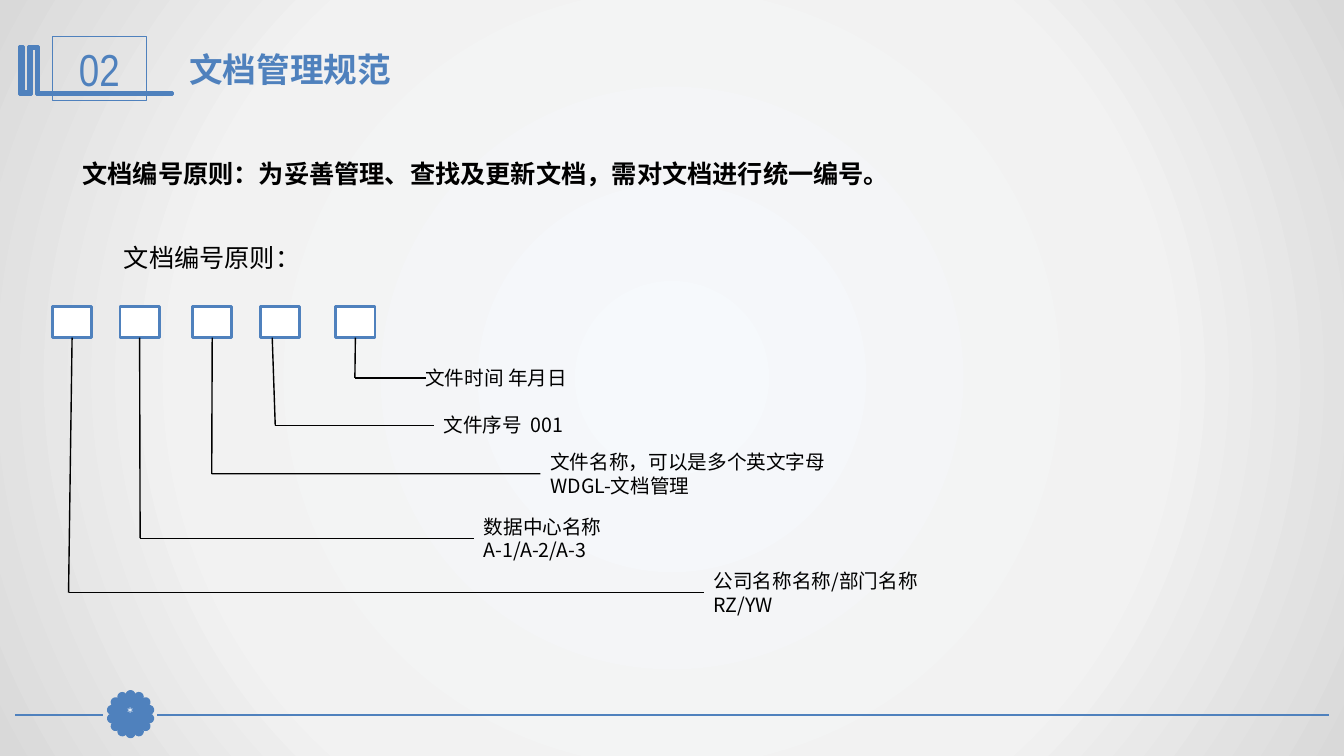
import math

import pptx
import pptx.dml.color
import pptx.enum.shapes
import pptx.enum.text
import pptx.oxml
import pptx.oxml.ns
import pptx.util
from pptx.util import Inches

RGBColor = pptx.dml.color.RGBColor
MSO_SHAPE = pptx.enum.shapes.MSO_SHAPE
ALIGN = pptx.enum.text.PP_ALIGN
ANCHOR = pptx.enum.text.MSO_ANCHOR
AUTO_SIZE = pptx.enum.text.MSO_AUTO_SIZE

BLUE = RGBColor(0x4F, 0x81, 0xBD)
BLACK = RGBColor(0, 0, 0)
WHITE = RGBColor(0xFF, 0xFF, 0xFF)
BG_STOPS = [(0, RGBColor(0xF6, 0xF9, 0xFC)), (63, RGBColor(0xF2, 0xF2, 0xF2)),
            (100, RGBColor(0xD9, 0xD9, 0xD9))]
CJK = "Noto Sans CJK SC"

BOX_W, BOX_H, BOX_Y = 0.39, 0.31, 3.04
# Box left, leg top (None: middle of the box), elbow x, elbow y,
# line end (None: side of the label), label left, label lines
CODE_PARTS = [
    (0.52, None, 0.68, 5.88, None, 6.98, ["公司名称名称/部门名称", "RZ/YW"]),
    (1.19, None, 1.39, 5.34, None, 4.70, ["数据中心名称", "A-1/A-2/A-3"]),
    (1.91, None, 2.10, 4.70, None, 5.36, ["文件名称，可以是多个英文字母", "WDGL-文档管理"]),
    (2.58, 2.70, 2.73, 4.22, None, 4.30, ["文件序号  001"]),
    (3.33, None, 3.52, 3.75, 4.23, 4.12, ["文件时间 年月日"]),
]
BOOKS = [(0.37, 0.46), (0.38, 0.46), (0.38, 0.92), (1.71, 0.92), (1.71, 0.94),
         (0.36, 0.94), (0.36, 0.48), (0.31, 0.48), (0.31, 0.94), (0.19, 0.94),
         (0.19, 0.46), (0.23, 0.46), (0.23, 0.91), (0.28, 0.91), (0.28, 0.46)]


def set_background(s):
    s.background.fill.solid()
    stops = "".join(f'<a:gs pos="{pos * 1000}"><a:srgbClr val="{color}"/></a:gs>'
                    for pos, color in BG_STOPS)
    grad = pptx.oxml.parse_xml(
        f'<a:gradFill {pptx.oxml.ns.nsdecls("a")} rotWithShape="1"><a:gsLst>{stops}</a:gsLst>'
        '<a:path path="circle"><a:fillToRect l="50000" t="50000" r="50000" b="50000"/>'
        '</a:path></a:gradFill>')
    solid = s.background._cSld.find(".//" + pptx.oxml.ns.qn("a:solidFill"))
    solid.getparent().replace(solid, grad)


def paint(sp, fill, width):
    sp.shadow.inherit = False
    if fill is None:
        sp.fill.background()
    else:
        sp.fill.solid()
        sp.fill.fore_color.rgb = fill
    sp.line.color.rgb = BLUE
    sp.line.width = pptx.util.Pt(width)


def add_shape(s, kind, x, y, w, h, fill, width):
    sp = s.shapes.add_shape(kind, Inches(x), Inches(y), Inches(w), Inches(h))
    paint(sp, fill, width)
    return sp


def add_line(s, x1, y1, x2, y2, color, width):
    line = s.shapes.add_connector(pptx.enum.shapes.MSO_CONNECTOR.STRAIGHT,
                                  Inches(x1), Inches(y1), Inches(x2), Inches(y2))
    line.line.color.rgb = color
    line.line.width = pptx.util.Pt(width)
    line._element.spPr.append(pptx.oxml.parse_xml(
        f'<a:effectLst {pptx.oxml.ns.nsdecls("a")}/>'))
    return line


def set_text(sp, lines, size, font, color, bold=False, align=ALIGN.LEFT):
    tf = sp.text_frame
    tf.text = "\n".join(lines)
    for p in tf.paragraphs:
        p.alignment = align
        for r in p.runs:
            r.font.size = pptx.util.Pt(size)
            r.font.name = font
            r.font.bold = bold
            r.font.color.rgb = color
            r.font._element.find(pptx.oxml.ns.qn("a:latin")).addnext(pptx.oxml.parse_xml(
                f'<a:ea {pptx.oxml.ns.nsdecls("a")} typeface="{CJK}"/>'))


def add_text(s, x, y, w, h, lines, size, font, color, bold=False, wrap=True):
    sp = s.shapes.add_textbox(Inches(x), Inches(y), Inches(w), Inches(h))
    sp.text_frame.word_wrap = wrap
    sp.text_frame.auto_size = AUTO_SIZE.SHAPE_TO_FIT_TEXT
    set_text(sp, lines, size, font, color, bold)
    return sp


def add_footer(s):
    # Rule on both sides of the flower
    add_line(s, 13.18, 7.09, 1.56, 7.09, BLUE, 1.25)
    add_line(s, 1.02, 7.09, 0.15, 7.09, BLUE, 1.25)
    # Ring of petals
    petals, size, radius = 14, 0.07, 0.19
    for i in range(petals):
        angle = 2 * math.pi * i / petals
        x = 1.295 + radius * math.sin(angle) - size / 2
        y = 7.085 - radius * math.cos(angle) - size / 2
        petal = add_shape(s, MSO_SHAPE.OVAL, x, y, size, size, BLUE, 2)
        petal.rotation = math.degrees(angle)
    # Heart of the flower
    heart = add_shape(s, MSO_SHAPE.RECTANGLE, 1.13, 6.93, 0.32, 0.31, BLUE, 0.75)
    tf = heart.text_frame
    tf.margin_left = tf.margin_right = tf.margin_top = tf.margin_bottom = 0
    tf.vertical_anchor = ANCHOR.MIDDLE
    set_text(heart, ["*"], 12, "Lato", WHITE, align=ALIGN.CENTER)


def add_header(s):
    # Book outline running into an underline
    points = [(Inches(x), Inches(y)) for x, y in BOOKS]
    fb = s.shapes.build_freeform(*points[0])
    fb.add_line_segments(points[1:], close=True)
    paint(fb.convert_to_shape(), BLUE, 2)
    # Section number and title
    number = add_shape(s, MSO_SHAPE.RECTANGLE, 0.52, 0.36, 0.93, 0.64, None, 0.75)
    number.text_frame.vertical_anchor = ANCHOR.MIDDLE
    number.text_frame.auto_size = AUTO_SIZE.SHAPE_TO_FIT_TEXT
    set_text(number, ["02"], 32, "Arial Narrow", BLUE, align=ALIGN.CENTER)
    add_text(s, 1.78, 0.44, 2.22, 0.5, ["文档管理规范"], 24, "Lato", BLUE, bold=True)


def add_code_part(s, box_x, leg_x, elbow_x, elbow_y, end_x, label_x, lines):
    box = add_shape(s, MSO_SHAPE.RECTANGLE, box_x, BOX_Y, BOX_W, BOX_H, WHITE, 2)
    label_h = 0.57 if len(lines) == 2 else 0.34
    label = add_text(s, label_x, elbow_y - label_h / 2, 5.56, label_h, lines, 14, CJK, BLACK)
    leg = add_line(s, leg_x or box_x + BOX_W / 2, BOX_Y + BOX_H, elbow_x, elbow_y, BLACK, 1)
    if leg_x is None:
        leg.begin_connect(box, 2)
    branch = add_line(s, elbow_x, elbow_y, end_x or label_x, elbow_y, BLACK, 1)
    if end_x is None:
        branch.end_connect(label, 1)


def main():
    prs = pptx.Presentation()
    prs.slide_width, prs.slide_height = Inches(13.33), Inches(7.5)
    s = prs.slides.add_slide(prs.slide_layouts[6])
    set_background(s)
    add_footer(s)
    add_header(s)
    # Principle and heading
    add_text(s, 0.72, 1.52, 8.2, 0.4,
             ["文档编号原则：为妥善管理、查找及更新文档，需对文档进行统一编号。"],
             18, "Lato", BLACK, bold=True, wrap=False)
    add_text(s, 1.13, 2.35, 1.95, 0.4, ["文档编号原则："], 18, "Lato", BLACK, wrap=False)
    # Parts of the document number
    for part in CODE_PARTS:
        add_code_part(s, *part)
    prs.save("out.pptx")


if __name__ == "__main__":
    main()
